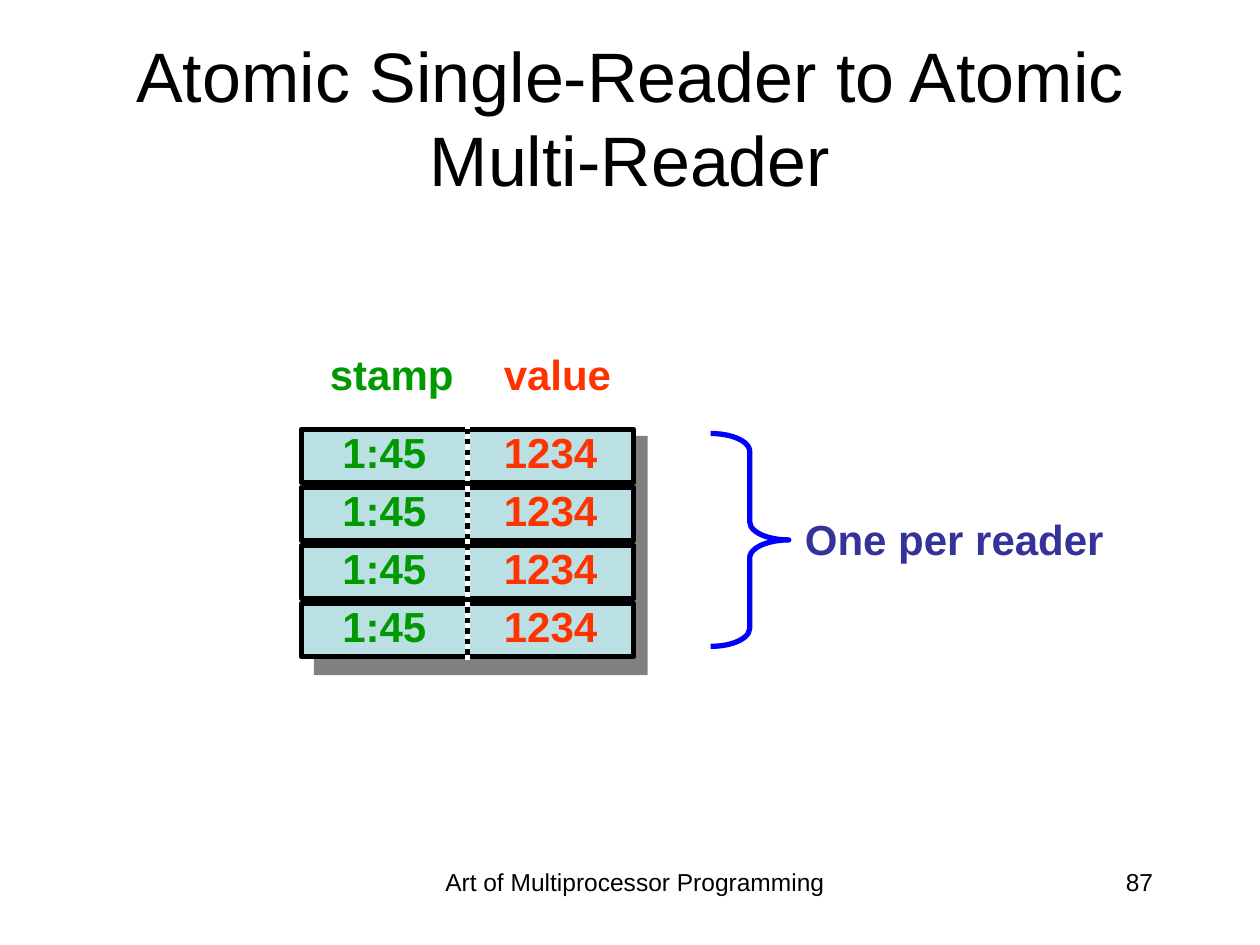
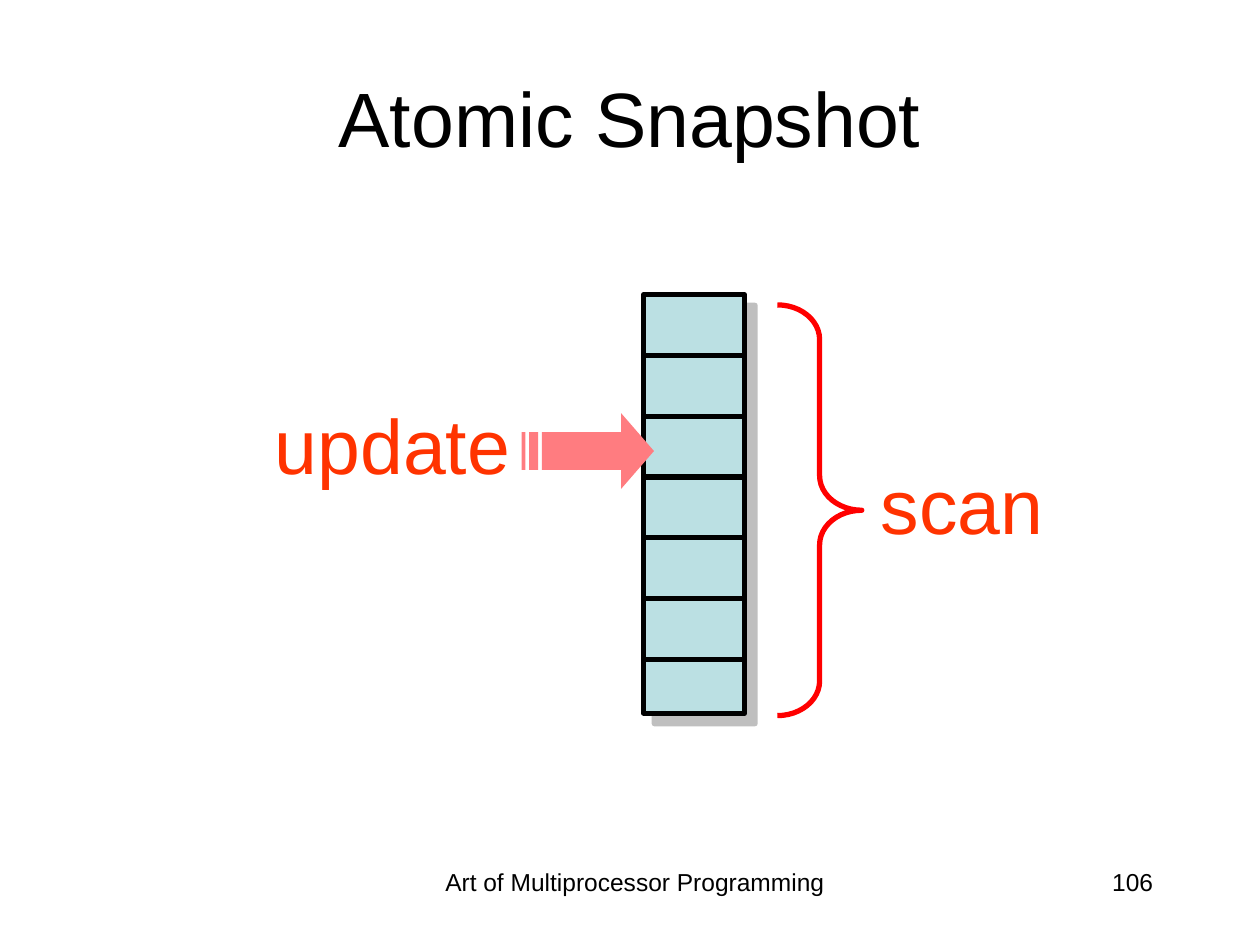
from lxml import etree
from pptx import Presentation
from pptx.dml.color import RGBColor
from pptx.enum.dml import MSO_LINE
from pptx.enum.shapes import MSO_CONNECTOR, MSO_SHAPE
from pptx.enum.text import MSO_ANCHOR, PP_ALIGN
from pptx.oxml import parse_xml
from pptx.oxml.ns import nsdecls, qn
from pptx.util import Inches, Pt

COLORS = {"black": "000000", "white": "FFFFFF", "gray": "808080",
          "cell": "BBE0E3", "green": "009900", "orange": "FF3300",
          "navy": "333399", "blue": "0000FF", "red": "FF0000",
          "pink": "FF7C80"}
FONT = "Arial"
GRID = Inches(0.1)  # the slide is 100 columns by 75 rows
LEFT, CENTER, RIGHT = PP_ALIGN.LEFT, PP_ALIGN.CENTER, PP_ALIGN.RIGHT
MIDDLE = MSO_ANCHOR.MIDDLE


def draw(s, kind, at, fill=None, line=None):
    """Add a text box, a line (at = both ends) or a preset shape on the grid."""
    box = [round(v * GRID) for v in at]
    if kind == "text":
        return s.shapes.add_textbox(*box)
    if kind == "line":
        sp = s.shapes.add_connector(MSO_CONNECTOR.STRAIGHT, *box)
        etree.SubElement(sp._element.spPr, qn("a:effectLst"))
    else:
        sp = s.shapes.add_shape(kind, *box)
        sp.shadow.inherit = False
        if fill:
            sp.fill.solid()
            sp.fill.fore_color.rgb = RGBColor.from_string(COLORS[fill])
        else:
            sp.fill.background()
    if line:
        sp.line.color.rgb = RGBColor.from_string(COLORS[line])
        sp.line.width = Pt(3)
    else:
        sp.line.fill.background()
    return sp


def write(sp, text, size=24, color="black", bold=False, align=LEFT,
          anchor=MSO_ANCHOR.TOP, wrap=True, tight=False):
    tf = sp.text_frame
    tf.word_wrap = wrap
    tf.vertical_anchor = anchor
    p = tf.paragraphs[0]
    p.alignment = align
    if tight:
        p.line_spacing = 0.8
        p.space_before = Pt(size * 0.2)
    r = p.add_run()
    r.text = text
    r.font.name, r.font.size, r.font.bold = FONT, Pt(size), bold
    r.font.color.rgb = RGBColor.from_string(COLORS[color])


prs = Presentation()
prs.slide_width, prs.slide_height = 100 * GRID, 75 * GRID

# Title, footer and page number on every slide
slides = []
for title, size, page in [("Atomic Single-Reader to Atomic Multi-Reader", 40, "87"),
                          ("Atomic Snapshot", 44, "106")]:
    s = prs.slides.add_slide(prs.slide_layouts[6])
    write(draw(s, "text", (5, 3, 90, 12.5)), title, size=size, align=CENTER, anchor=MIDDLE)
    write(draw(s, "text", (33.3, 68.3, 34.2, 5.2)),
          "Art of Multiprocessor Programming", size=14, align=CENTER)
    write(draw(s, "text", (71.7, 68.3, 20.8, 5)), page, size=14, align=RIGHT)
    slides.append(s)
registers, snapshot = slides

# Registers: backing block, then four rows of stamp and value
s = registers
draw(s, MSO_SHAPE.RECTANGLE, (24.9, 34.6, 26.5, 19), fill="gray")
cell_w, cell_h, pitch = 13.2, 4.2, 4.6
left, top = 23.9, 34.1
for row in range(4):
    for col, (label, color) in enumerate([("1:45", "green"), ("1234", "orange")]):
        cell = draw(s, MSO_SHAPE.RECTANGLE,
                    (left + col * cell_w, top + row * pitch, cell_w, cell_h),
                    fill="cell", line="black")
        write(cell, label, color=color, bold=True, align=CENTER, anchor=MIDDLE, tight=True)
middle = left + cell_w
divider = draw(s, "line", (middle, 33.6, middle, 52.4), line="white")
divider.line.dash_style = MSO_LINE.ROUND_DOT  # written as sysDot

# Registers: labels and brace
for label, color, at in [("stamp", "green", (25.2, 27.9, 11.9, 4.2)),
                         ("value", "orange", (39, 27.9, 10.6, 4.2)),
                         ("One per reader", "navy", (62.9, 41, 26, 4.2))]:
    write(draw(s, "text", at), label, color=color, bold=True, wrap=False, tight=True)
brace = draw(s, MSO_SHAPE.RIGHT_BRACE, (56.4, 34.4, 6.2, 16.9), line="blue")
brace.adjustments[0] = 0.23

# Snapshot: brace and labels
s = snapshot
brace = draw(s, MSO_SHAPE.RIGHT_BRACE, (61.7, 24.2, 6.7, 32.6), line="red")
brace.adjustments[0] = 0.41
for label, at in [("update", (20.1, 31.1, 21.4, 8.3)), ("scan", (68.7, 35.8, 15.1, 8.4))]:
    write(draw(s, "text", at), label, size=44, color="orange", align=RIGHT, wrap=False)

# Snapshot: column of seven cells with a soft-toned shadow
left, top, width, height = 51.1, 23.4, 8, 33.2
column = draw(s, MSO_SHAPE.RECTANGLE, (left, top, width, height), fill="cell", line="black")
effects = column._element.spPr.find(qn("a:effectLst"))
effects.append(parse_xml(
    f'<a:outerShdw {nsdecls("a")} dist="{Pt(8.5)}" dir="2700000" algn="ctr" rotWithShape="0">'
    f'<a:srgbClr val="{COLORS["gray"]}"><a:alpha val="50000"/></a:srgbClr></a:outerShdw>'))
for i in range(1, 7):
    y = top + i * 4.82
    draw(s, "line", (left, y, left + width, y), line="black")

# Snapshot: striped arrow, in hundredths of an inch
arrow = s.shapes.build_freeform(493, 328, scale=GRID / 10)
arrow.add_line_segments([(493, 343), (430, 343), (430, 373), (493, 373), (493, 388), (519, 358)])
for x1, x2 in [(420, 427), (414, 417)]:
    arrow.move_to(x1, 343)
    arrow.add_line_segments([(x1, 373), (x2, 373), (x2, 343)])
sp = arrow.convert_to_shape()
sp.shadow.inherit = False
sp.fill.solid()
sp.fill.fore_color.rgb = RGBColor.from_string(COLORS["pink"])
sp.line.fill.background()

prs.save("out.pptx")
